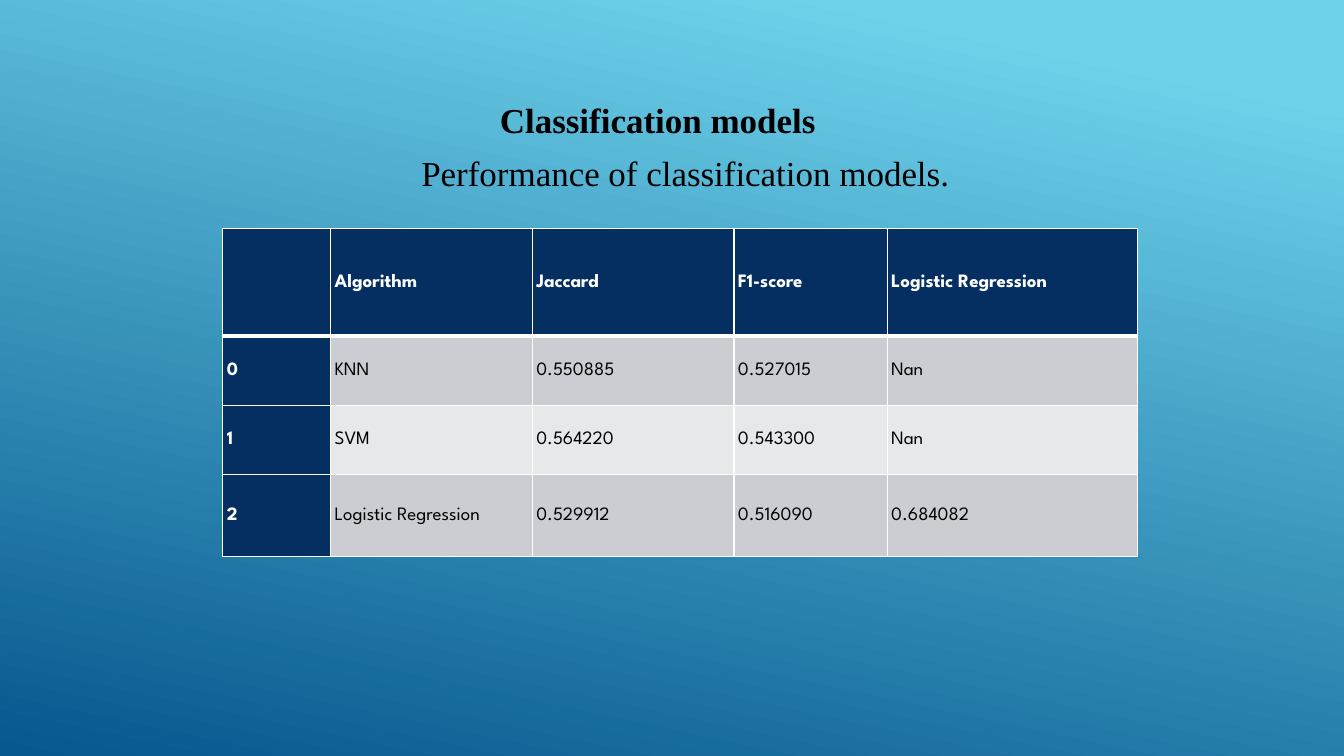
from lxml import etree
from pptx import Presentation
from pptx.dml.color import RGBColor
from pptx.enum.text import MSO_ANCHOR
from pptx.oxml.ns import qn
from pptx.util import Inches, Pt

MIDDLE = MSO_ANCHOR.MIDDLE
NAVY, WHITE, BLACK = "052F61", "FFFFFF", "000000"
BANDS = ("CCCDD2", "E7E8EA")
COLS = (1.07, 2, 2, 1.52, 2.48)
ROWS = (1.06, 0.69, 0.69, 0.81)
SCORES = (
    ("", "Algorithm", "Jaccard", "F1-score", "Logistic Regression"),
    ("0", "KNN", "0.550885", "0.527015", "Nan"),
    ("1", "SVM", "0.564220", "0.543300", "Nan"),
    ("2", "Logistic Regression", "0.529912", "0.516090", "0.684082"),
)


def color(code):
    return RGBColor.from_string(code)


def style(para, face, size, code, bold):
    font = para.font
    font.name, font.size, font.bold = face, Pt(size), bold
    font.color.rgb = color(code)


def backdrop(slide):
    fill = slide.background.fill
    fill.gradient()
    fill.gradient_angle = 258  # counter-clockwise
    for stop, (place, code) in zip(fill.gradient_stops,
                                   ((0.1, "6ED2EB"), (1, "06588E"))):
        stop.position = place
        stop.color.rgb = color(code)


def heading(slide, box, text, bold):
    frame = slide.shapes.add_textbox(*map(Inches, box)).text_frame
    frame.word_wrap = True
    para = frame.paragraphs[0]
    para.text = text
    style(para, "Times New Roman", 25, BLACK, bold)


def border(cell, side, width):
    props = cell._tc.get_or_add_tcPr()
    line = etree.SubElement(props, qn("a:ln" + side), w=str(Pt(width)))
    fill = etree.SubElement(line, qn("a:solidFill"))
    etree.SubElement(fill, qn("a:srgbClr"), val=WHITE)


def score_cell(cell, text, row, col):
    # Borders go before the fill, with a thick rule under the header
    for side in "LRTB":
        thick = (row, side) in ((0, "B"), (1, "T"))
        border(cell, side, 3 if thick else 1)
    head = row == 0 or col == 0
    cell.fill.solid()
    cell.fill.fore_color.rgb = color(NAVY if head else BANDS[(row - 1) % 2])

    cell.vertical_anchor = MIDDLE
    cell.margin_left = cell.margin_right = Inches(0.04)
    cell.margin_top = cell.margin_bottom = Inches(0.04)
    para = cell.text_frame.paragraphs[0]
    para.text = text
    para.line_spacing = 1.07
    para.space_before = Pt(12)
    style(para, "League Spartan", 13.5, WHITE if head else BLACK, head)


def score_table(slide, left, top):
    box = map(Inches, (left, top, sum(COLS), sum(ROWS)))
    table = slide.shapes.add_table(len(ROWS), len(COLS), *box).table
    for col, width in zip(table.columns, COLS):
        col.width = Inches(width)
    for row, height in zip(table.rows, ROWS):
        row.height = Inches(height)
    for r, line in enumerate(SCORES):
        for c, text in enumerate(line):
            score_cell(table.cell(r, c), text, r, c)


deck = Presentation()
deck.slide_width, deck.slide_height = Inches(13.33), Inches(7.5)
slide = deck.slides.add_slide(deck.slide_layouts[6])
backdrop(slide)
heading(slide, (4.86, 0.93, 3.46, 0.52), "Classification models", True)
heading(slide, (4.08, 1.45, 5.51, 0.52),
        "Performance of classification models.", False)
score_table(slide, 2.21, 2.27)
deck.save("out.pptx")
